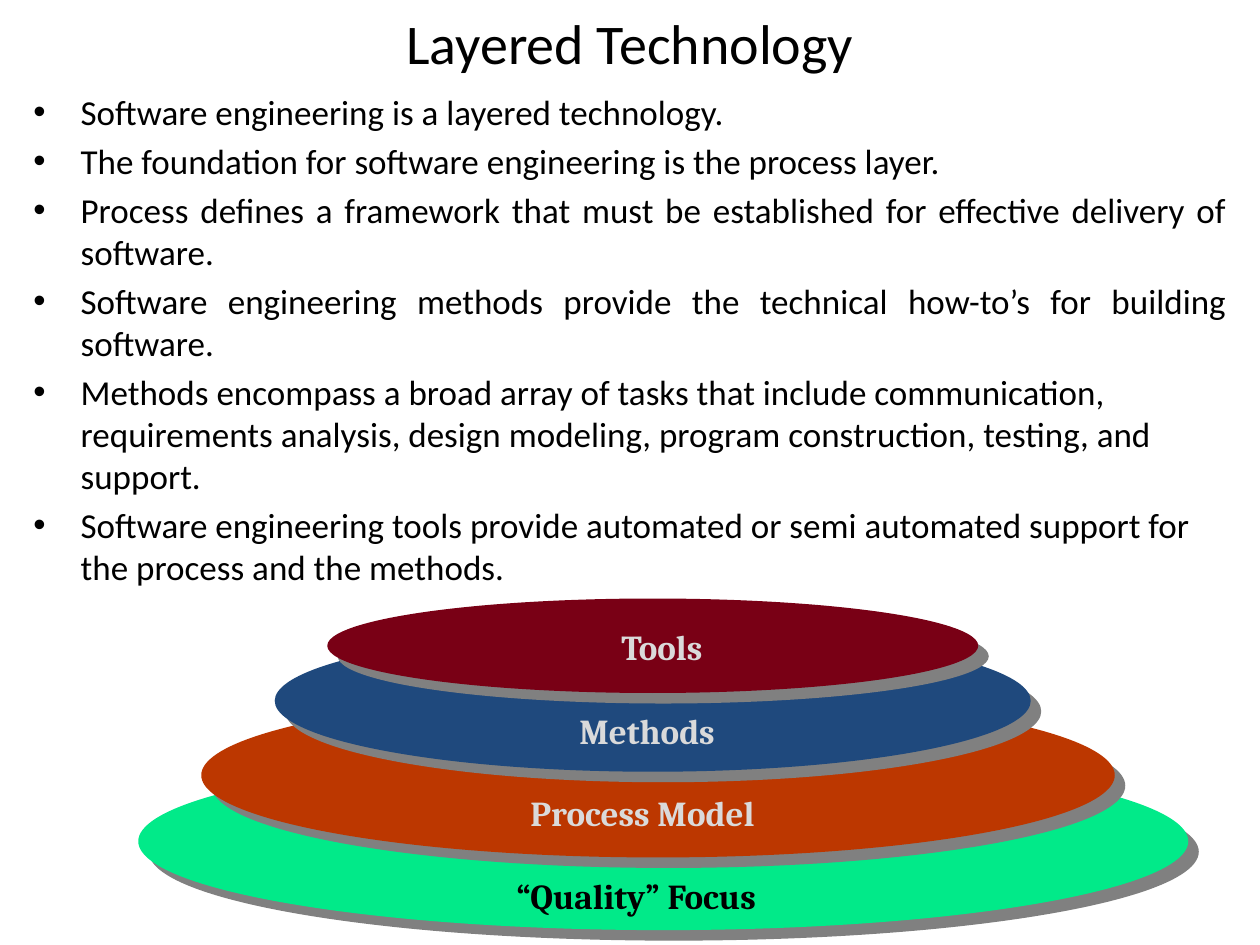
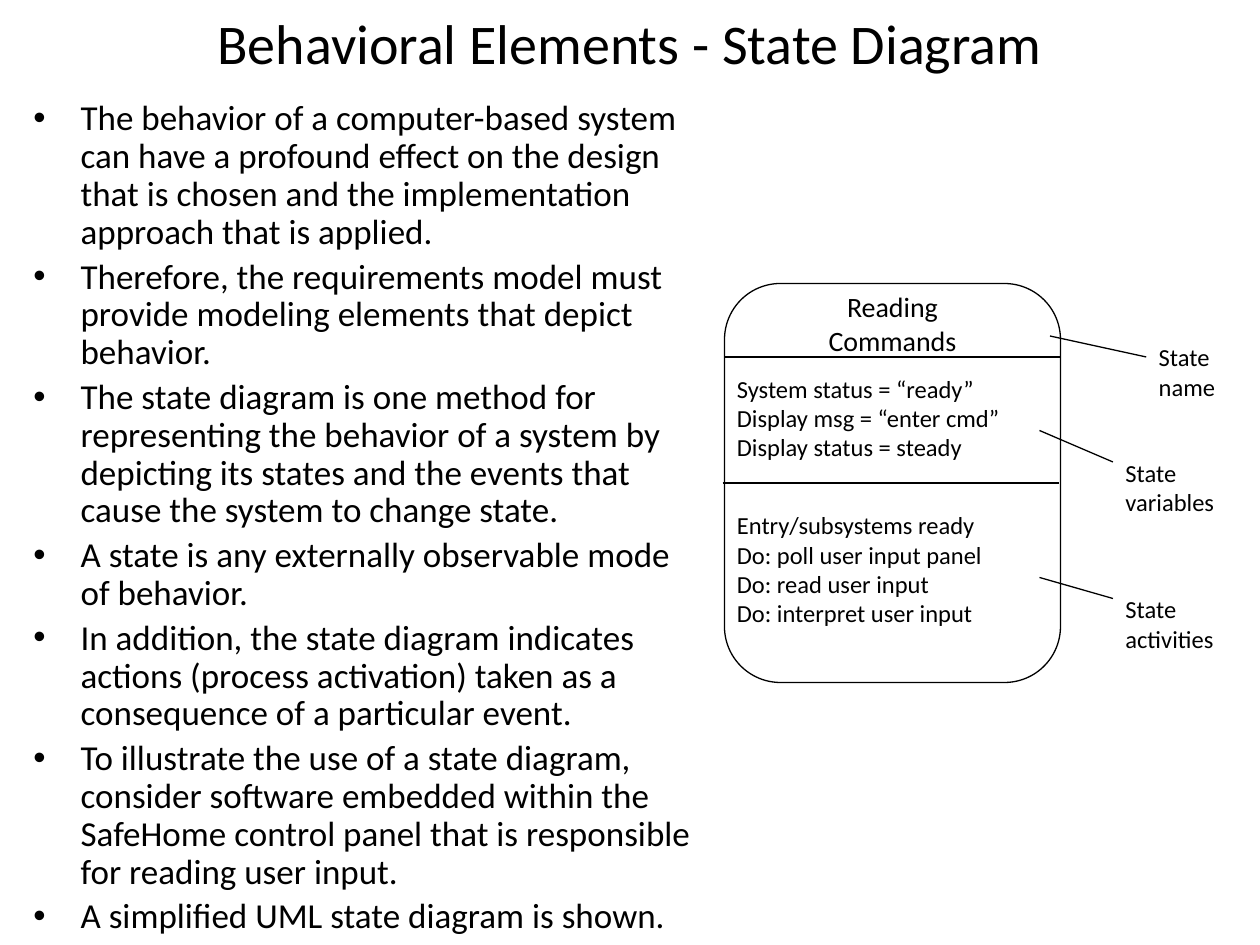
from lxml.etree import SubElement
from pptx import Presentation
from pptx.dml.color import RGBColor
from pptx.enum.shapes import MSO_CONNECTOR, MSO_SHAPE
from pptx.enum.text import MSO_ANCHOR, MSO_AUTO_SIZE, PP_ALIGN
from pptx.oxml.ns import qn
from pptx.util import Pt

BLACK = RGBColor(0x00, 0x00, 0x00)
WHITE = RGBColor(0xFF, 0xFF, 0xFF)
PALE = RGBColor(0xDA, 0xDA, 0xDA)
GREEN = RGBColor(0x01, 0xEA, 0x89)
ORANGE = RGBColor(0xBC, 0x37, 0x00)
BLUE = RGBColor(0x1F, 0x49, 0x7D)
MAROON = RGBColor(0x79, 0x00, 0x15)
SHADOW = RGBColor(0x80, 0x80, 0x80)

BODY_FONT = "Calibri"
LABEL_FONT = "Cambria"

LAYERED_TITLE = "Layered Technology"
LAYERED_POINTS = [
    ("Software engineering is a layered technology.", PP_ALIGN.JUSTIFY),
    ("The foundation for software engineering is the process layer.", PP_ALIGN.JUSTIFY),
    ("Process defines a framework that must be established for effective delivery of software.", PP_ALIGN.JUSTIFY),
    ("Software engineering methods provide the technical how-to’s for building software.", PP_ALIGN.JUSTIFY),
    ("Methods encompass a broad array of tasks that include communication, requirements analysis, "
     "design modeling, program construction, testing, and support.", PP_ALIGN.LEFT),
    ("Software engineering tools provide automated or semi automated support for the process "
     "and the methods.", PP_ALIGN.LEFT),
]
LAYERS = [
    ("“Quality” Focus", GREEN, BLACK, (79, 430, 600, 101.5), (288, 496, 168, 31)),
    ("Process Model", ORANGE, PALE, (115, 396, 522, 94), (296, 448.5, 157, 31)),
    ("Methods", BLUE, PALE, (157, 360, 432, 81), (324, 402, 97, 31)),
    ("Tools", MAROON, PALE, (187, 342, 372, 54), (348, 354, 67, 31)),
]

STATE_TITLE = "Behavioral Elements - State Diagram"
STATE_POINTS = [
    "The behavior of a computer-based system can have a profound effect on the design that is chosen "
    "and the implementation approach that is applied.",
    "Therefore, the requirements model must provide modeling elements that depict behavior.",
    "The state diagram is one method for representing the behavior of a system by depicting its states "
    "and the events that cause the system to change state.",
    "A state is any externally observable mode of behavior.",
    "In addition, the state diagram indicates actions (process activation) taken as a consequence "
    "of a particular event.",
    "To illustrate the use of a state diagram, consider software embedded within the SafeHome control "
    "panel that is responsible for reading user input.",
    "A simplified UML state diagram is shown.",
]
STATE_BOX = (414, 162, 192, 228)
DIVIDERS = [((414, 204), (606, 204)), ((413, 276), (605, 276))]
STATE_NAME = ["Reading", "Commands"]
COMPARTMENTS = [
    (["System status = “ready”", "Display msg = “enter cmd”", "Display status = steady"],
     (414, 210, 186, 58)),
    (["Entry/subsystems ready", "Do: poll user input panel", "Do: read user input",
      "Do: interpret user input"], (414, 288, 186, 91)),
]
CALLOUTS = [
    ("State name", (655, 192, 65, 41), (655, 204), (600, 192)),
    ("State variables", (636, 258, 84, 41), (636, 264), (594, 246)),
    ("State activities", (636, 336, 84, 41), (636, 342), (594, 330)),
]


def points(values):
    return [Pt(value) for value in values]


def add_text(slide, lines, box, size, color=BLACK, font=BODY_FONT, bold=False,
             align=PP_ALIGN.LEFT, wrap=True):
    text_frame = slide.shapes.add_textbox(*points(box)).text_frame
    text_frame.text = "\n".join(lines)
    text_frame.word_wrap = wrap
    text_frame.auto_size = MSO_AUTO_SIZE.NONE if wrap else MSO_AUTO_SIZE.SHAPE_TO_FIT_TEXT
    for paragraph in text_frame.paragraphs:
        paragraph.alignment = align
        for run in paragraph.runs:
            run.font.name = font
            run.font.size = Pt(size)
            run.font.bold = bold
            run.font.color.rgb = color
    return text_frame


def add_title(slide, title):
    text_frame = add_text(slide, [title], (36, 0, 648, 48), 32, align=PP_ALIGN.CENTER)
    text_frame.vertical_anchor = MSO_ANCHOR.MIDDLE


def add_bullets(slide, lines, box, line_spacing=1.0):
    text_frame = add_text(slide, lines, box, 20)
    for paragraph in text_frame.paragraphs:
        paragraph.space_before = Pt(4)
        paragraph.line_spacing = line_spacing
        properties = paragraph._p.get_or_add_pPr()
        properties.set("marL", str(Pt(27)))
        properties.set("indent", str(Pt(-27)))
        SubElement(properties, qn("a:buFont"), typeface="Arial")
        SubElement(properties, qn("a:buChar"), char="•")
    return text_frame


def add_shape(slide, kind, box, fill):
    shape = slide.shapes.add_shape(kind, *points(box))
    shape.shadow.inherit = False
    shape.fill.solid()
    shape.fill.fore_color.rgb = fill
    return shape


def add_layer(slide, box, fill):
    ellipse = add_shape(slide, MSO_SHAPE.OVAL, box, fill)
    ellipse.line.fill.background()
    effects = ellipse._element.spPr.find(qn("a:effectLst"))
    shadow = SubElement(effects, qn("a:outerShdw"), dist=str(Pt(8.5)), dir=str(45 * 60000),
                        algn="ctr", rotWithShape="0")
    SubElement(shadow, qn("a:srgbClr"), val=str(SHADOW))


def add_line(slide, start, end):
    connector = slide.shapes.add_connector(MSO_CONNECTOR.STRAIGHT, *points(start + end))
    connector.line.color.rgb = BLACK
    connector.line.width = Pt(0.75)
    SubElement(connector._element.spPr, qn("a:effectLst"))


def build_layered_technology(slide):
    add_title(slide, LAYERED_TITLE)
    body = add_bullets(slide, [text for text, _ in LAYERED_POINTS], (12, 48, 696, 486))
    for paragraph, (_, align) in zip(body.paragraphs, LAYERED_POINTS):
        paragraph.alignment = align
    for _, fill, _, ellipse_box, _ in LAYERS:
        add_layer(slide, ellipse_box, fill)
    for label, _, color, _, label_box in LAYERS:
        add_text(slide, [label], label_box, 20, color, LABEL_FONT, bold=True, wrap=False)


def build_state_diagram(slide):
    add_title(slide, STATE_TITLE)
    state = add_shape(slide, MSO_SHAPE.ROUNDED_RECTANGLE, STATE_BOX, WHITE)
    state.line.color.rgb = BLACK
    state.line.width = Pt(0.75)
    for start, end in DIVIDERS:
        add_line(slide, start, end)
    add_text(slide, STATE_NAME, (462, 162, 96, 46), 16, align=PP_ALIGN.CENTER)
    for lines, box in COMPARTMENTS:
        add_text(slide, lines, box, 14)
    for label, box, start, end in CALLOUTS:
        add_text(slide, [label], box, 14)
        add_line(slide, start, end)
    add_bullets(slide, STATE_POINTS, (12, 54, 396, 486), 0.9)


def main():
    presentation = Presentation()
    presentation.slide_width = Pt(720)
    presentation.slide_height = Pt(540)
    for build in (build_layered_technology, build_state_diagram):
        build(presentation.slides.add_slide(presentation.slide_layouts[6]))
    presentation.save("out.pptx")


if __name__ == "__main__":
    main()
